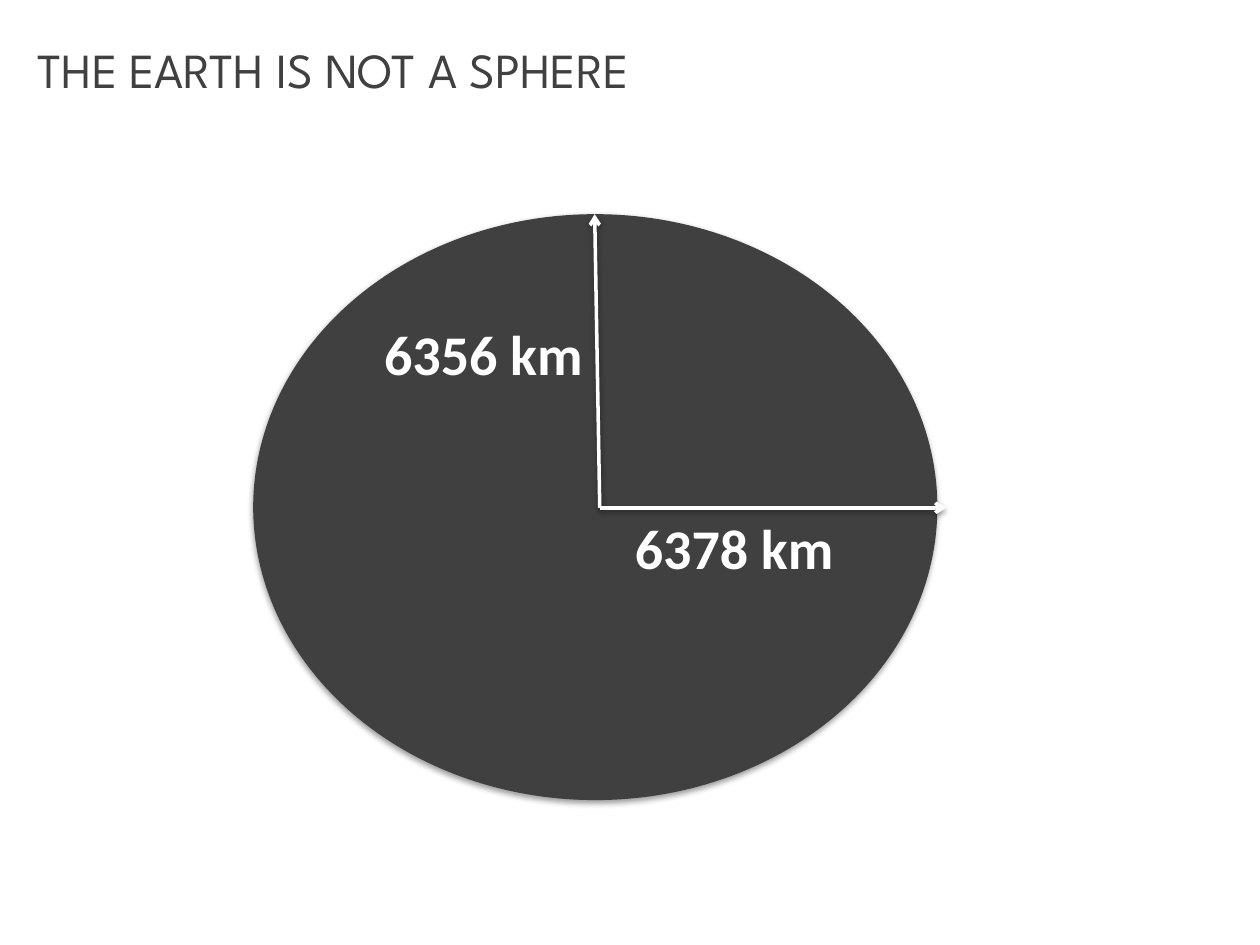
from dataclasses import dataclass

from lxml import etree
from pptx import Presentation
from pptx.dml.color import RGBColor
from pptx.enum.shapes import MSO_CONNECTOR, MSO_SHAPE
from pptx.enum.text import MSO_ANCHOR, MSO_AUTO_SIZE, PP_ALIGN
from pptx.oxml import parse_xml
from pptx.oxml.ns import nsdecls, qn
from pptx.util import Inches, Pt

ELLIPSE = MSO_SHAPE.OVAL
STRAIGHT = MSO_CONNECTOR.STRAIGHT
LEFT = PP_ALIGN.LEFT
MIDDLE = MSO_ANCHOR.MIDDLE
FIT_SHAPE = MSO_AUTO_SIZE.SHAPE_TO_FIT_TEXT
TITLE_ONLY = 5
COLUMNS, ROWS = 100, 75


@dataclass(frozen=True)
class Theme:
    dark: RGBColor = RGBColor(0x40, 0x40, 0x40)
    light: RGBColor = RGBColor(0xFF, 0xFF, 0xFF)
    title_font: str = "League Spartan"
    label_font: str = "Calibri"
    title_size: Pt = Pt(28)
    label_size: Pt = Pt(32)
    line_width: Pt = Pt(2)
    shadow: str = (
        f'<a:effectLst {nsdecls("a")}>'
        '<a:outerShdw blurRad="40000" dist="20000" dir="5400000" rotWithShape="0">'
        '<a:srgbClr val="000000"><a:alpha val="38000"/></a:srgbClr>'
        '</a:outerShdw></a:effectLst>'
    )


class SlideBuilder:
    """Draws on one slide; places are in grid columns and rows."""

    def __init__(self, deck, theme):
        self.theme = theme
        self.cell_width = deck.slide_width / COLUMNS
        self.cell_height = deck.slide_height / ROWS
        self.slide = deck.slides.add_slide(deck.slide_layouts[TITLE_ONLY])
        self.diagram = self.slide.shapes.add_group_shape().shapes

    def place(self, *lengths):
        cells = (self.cell_width, self.cell_height)
        return [round(n * cells[i % 2]) for i, n in enumerate(lengths)]

    def format_text(self, frame, text, color, **font_values):
        frame.text = text
        paragraph = frame.paragraphs[0]
        paragraph.alignment = LEFT
        font = paragraph.runs[0].font
        for key, value in font_values.items():
            setattr(font, key, value)
        font.color.rgb = color

    def add_shadow(self, element):
        element._element.spPr.append(parse_xml(self.theme.shadow))

    def title(self, text, *box):
        heading = self.slide.shapes.title
        sides = ("left", "top", "width", "height")
        for side, length in zip(sides, self.place(*box)):
            setattr(heading, side, length)
        heading.text_frame.vertical_anchor = MIDDLE
        self.format_text(heading.text_frame, text, self.theme.dark,
                         name=self.theme.title_font, size=self.theme.title_size)

    def ellipse(self, *box):
        body = self.diagram.add_shape(ELLIPSE, *self.place(*box))
        body.fill.solid()
        body.fill.fore_color.rgb = self.theme.dark
        body.line.fill.background()
        self.add_shadow(body)

    def arrow(self, start, end):
        radius = self.diagram.add_connector(STRAIGHT, *self.place(*start, *end))
        radius.line.color.rgb = self.theme.light
        radius.line.width = self.theme.line_width
        etree.SubElement(radius.line._get_or_add_ln(), qn("a:tailEnd"), type="arrow")
        self.add_shadow(radius)

    def label(self, text, *box):
        frame = self.diagram.add_textbox(*self.place(*box)).text_frame
        frame.word_wrap = False
        frame.auto_size = FIT_SHAPE
        self.format_text(frame, text, self.theme.light, bold=True,
                         name=self.theme.label_font, size=self.theme.label_size)


def main():
    deck = Presentation()
    deck.slide_width, deck.slide_height = Inches(10), Inches(7.5)
    page = SlideBuilder(deck, Theme())

    page.title("THE EARTH IS NOT A SPHERE", 2, 0, 96.1, 11)

    # Flattened Earth
    page.ellipse(20.1, 17, 54.3, 46.5)

    # Polar and equatorial radii
    center, pole, equator = (47.6, 40.3), (47.2, 17), (75.1, 40.3)
    for end in (pole, equator):
        page.arrow(center, end)

    # Radius lengths
    label_size = (18.4, 6.4)
    page.label("6378 km", 49.4, 40.3, *label_size)
    page.label("6356 km", 29.5, 24.9, *label_size)

    deck.save("out.pptx")


if __name__ == "__main__":
    main()
